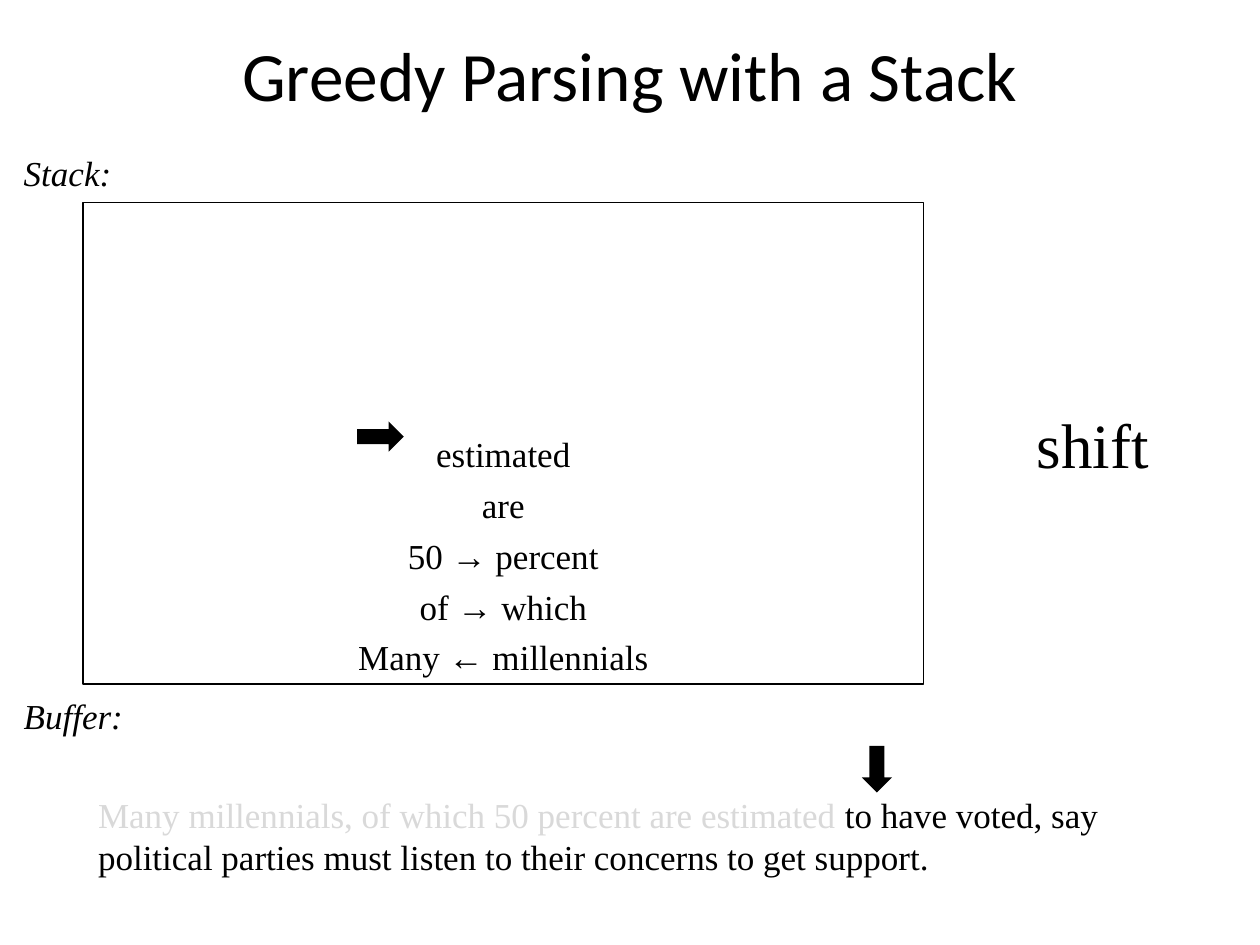
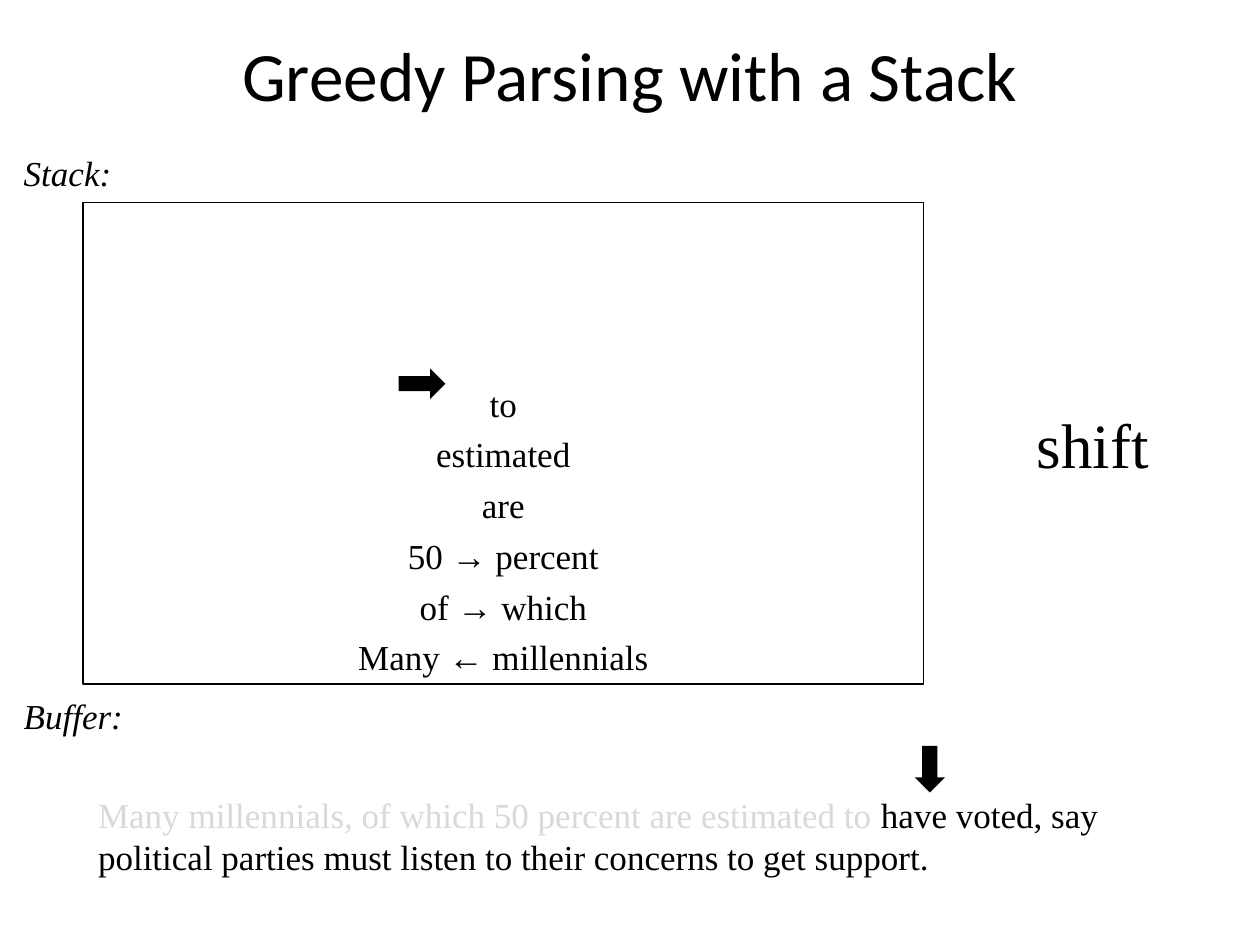
from pptx import Presentation
from pptx import util as u
from pptx.dml.color import RGBColor
from pptx.enum import shapes, text

PX = 9144  # EMU per px, 100 px to the inch
BLACK = RGBColor(0x00, 0x00, 0x00)
CONSUMED_GREY = RGBColor(0xD9, 0xD9, 0xD9)
BODY_FONT = "Times New Roman"
ARROW_SIZE = (24, 37)

SENTENCE = ("Many millennials, of which 50 percent are estimated to have voted, "
            "say political parties must listen to their concerns to get support.")
BASE_STACK = ["estimated", "are", "50 → percent", "of → which", "Many ← millennials"]

# Last consumed word, stack from the top, buffer arrow left, stack arrow left and top
STEPS = [
    ("estimated", BASE_STACK, 684, (290, 328)),
    (" to", ["to"] + BASE_STACK, 726, (323, 286)),
]


def add_text(slide, box, content, size=20, italic=False):
    frame = slide.shapes.add_textbox(*(n * PX for n in box)).text_frame
    frame.word_wrap = True
    paragraph = frame.paragraphs[0]
    paragraph.text = content
    font = paragraph.font
    font.name, font.size, font.italic = BODY_FONT, u.Pt(size), italic
    font.color.rgb = BLACK
    return frame


def add_arrow(slide, left, top, rotation=0):
    box = (left, top, *ARROW_SIZE)
    arrow = slide.shapes.add_shape(shapes.MSO_SHAPE.DOWN_ARROW, *(n * PX for n in box))
    arrow.rotation = rotation
    arrow.shadow.inherit = False
    arrow.fill.solid()
    arrow.fill.fore_color.rgb = BLACK
    arrow.line.fill.background()


presentation = Presentation()
presentation.slide_width, presentation.slide_height = 1000 * PX, 750 * PX
title_only = presentation.slide_layouts[5]

for last_consumed, stack, buffer_arrow_left, stack_arrow in STEPS:
    slide = presentation.slides.add_slide(title_only)

    title = slide.shapes.title
    title.left, title.top, title.width, title.height = (n * PX for n in (50, 19, 900, 79))
    title.text_frame.text = "Greedy Parsing with a Stack"
    title.text_frame.auto_size = text.MSO_AUTO_SIZE.NONE
    title.text_frame.vertical_anchor = text.MSO_ANCHOR.MIDDLE
    heading = title.text_frame.paragraphs[0]
    heading.alignment = text.PP_ALIGN.CENTER
    heading.font.name, heading.font.size = "Calibri", u.Pt(39.6)
    heading.font.color.rgb = BLACK

    before, after = SENTENCE.split(last_consumed, 1)
    buffer = add_text(slide, (68, 625, 900, 83), before + last_consumed).paragraphs[0]
    buffer.runs[0].font.color.rgb = CONSUMED_GREY
    buffer.add_run().text = after
    add_arrow(slide, buffer_arrow_left, 592)

    for label, top in (("Buffer:", 546), ("Stack:", 115)):
        add_text(slide, (9, top, 107, 42), label, italic=True)

    stack_box = slide.shapes.add_shape(
        shapes.MSO_SHAPE.RECTANGLE, *(n * PX for n in (66, 161, 667, 382)))
    stack_box.shadow.inherit = False
    stack_box.fill.background()
    stack_box.line.color.rgb = BLACK
    stack_box.line.width = u.Pt(0.75)
    frame = stack_box.text_frame
    frame.vertical_anchor = text.MSO_ANCHOR.BOTTOM
    frame.text = "\n".join(stack)
    for index, paragraph in enumerate(frame.paragraphs):
        paragraph.alignment = text.PP_ALIGN.CENTER
        if index:
            paragraph.space_before = u.Pt(5)
        paragraph.font.name, paragraph.font.size = BODY_FONT, u.Pt(20)
        paragraph.font.color.rgb = BLACK

    action = add_text(slide, (811, 317, 113, 71), "shift", size=36)
    action.word_wrap = False
    action.auto_size = text.MSO_AUTO_SIZE.SHAPE_TO_FIT_TEXT
    action.paragraphs[0].alignment = text.PP_ALIGN.CENTER

    add_arrow(slide, *stack_arrow, rotation=270)

presentation.save("out.pptx")
